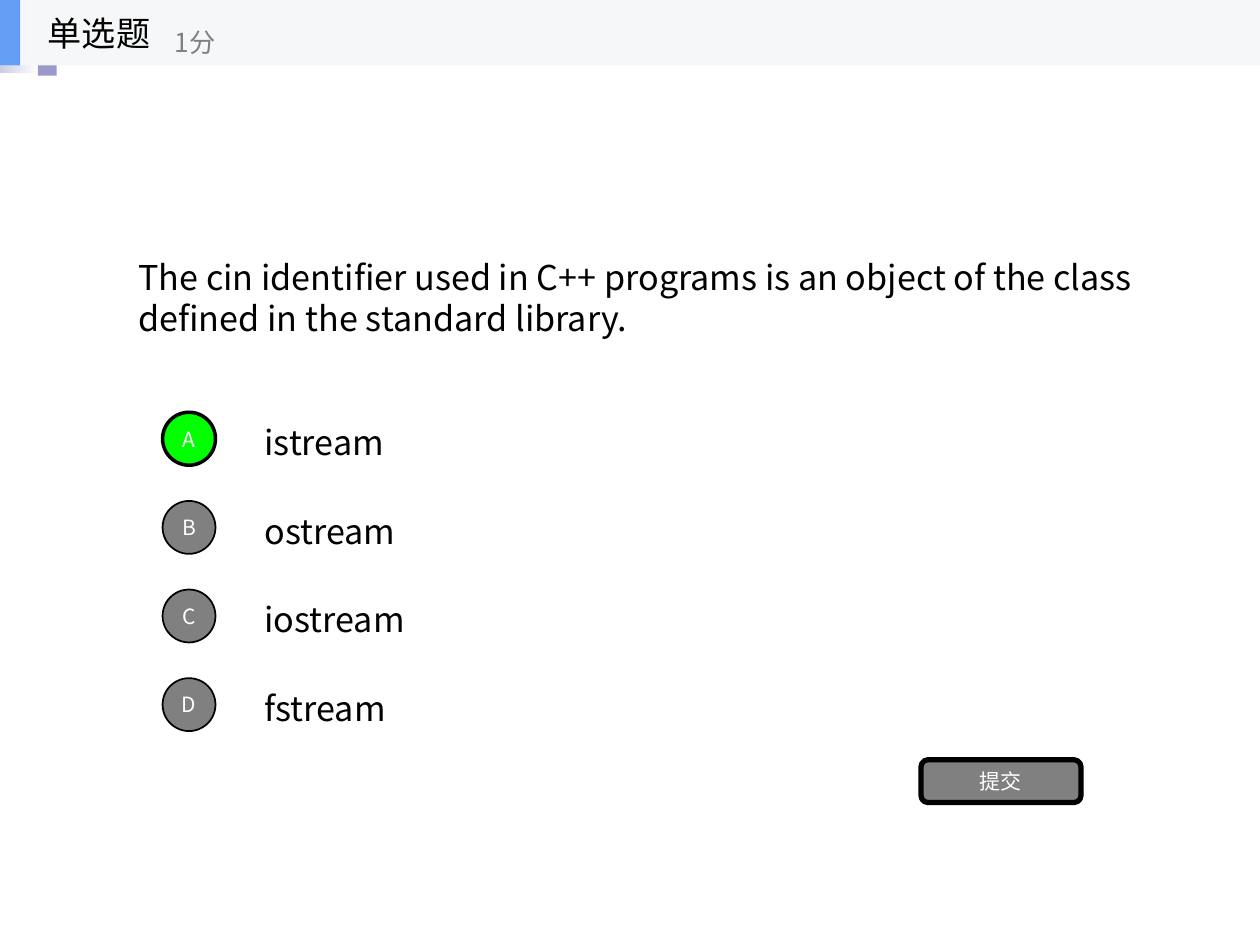
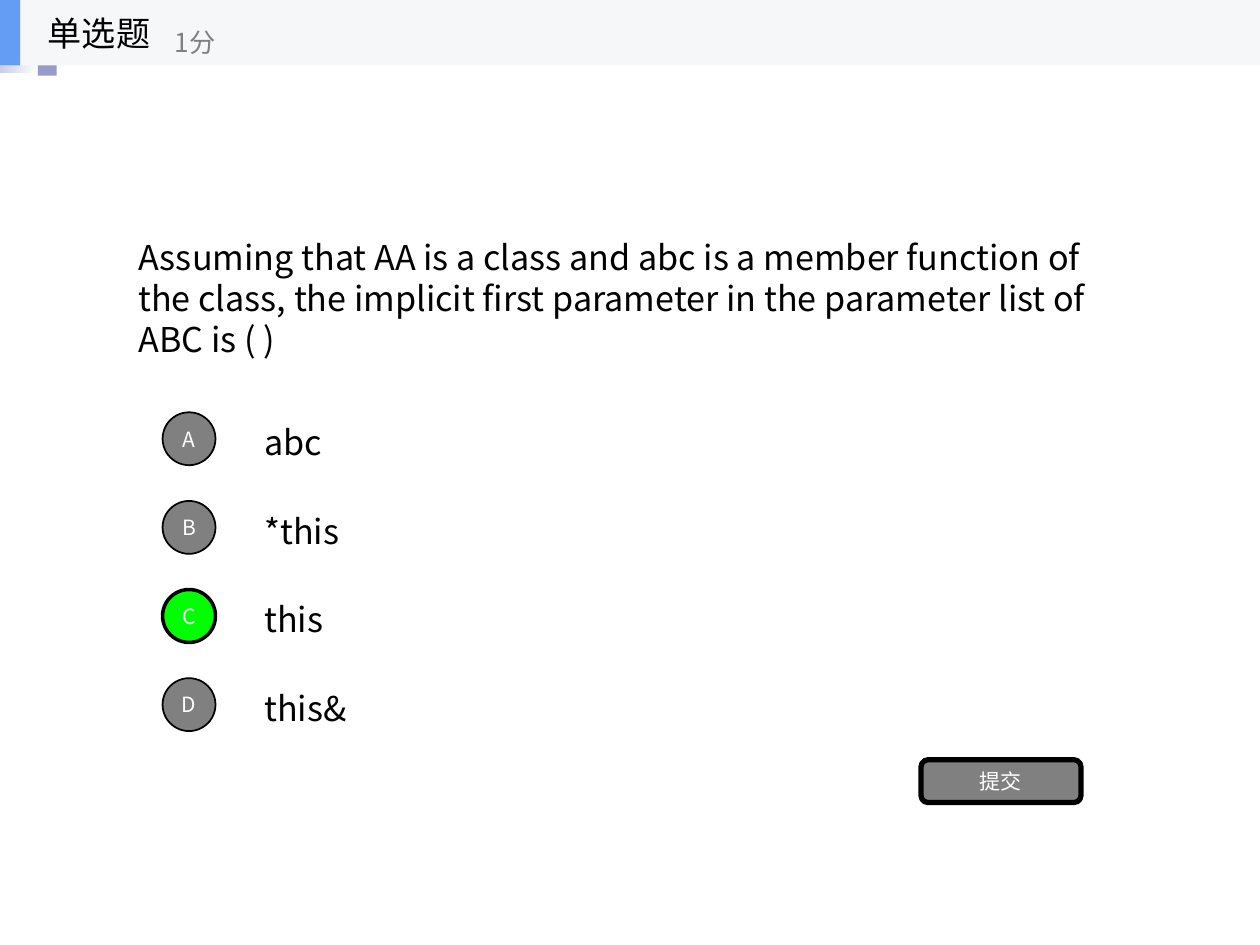
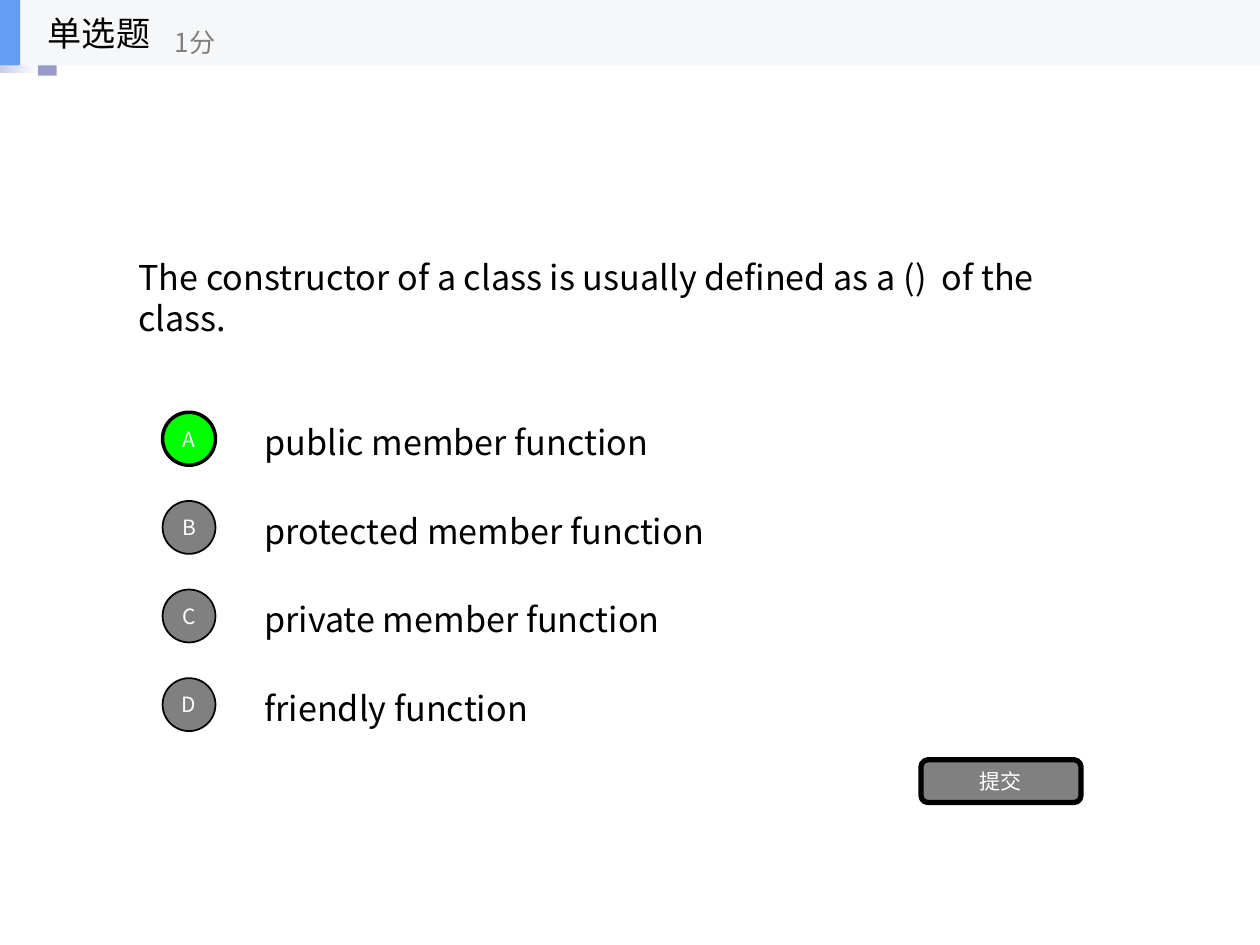
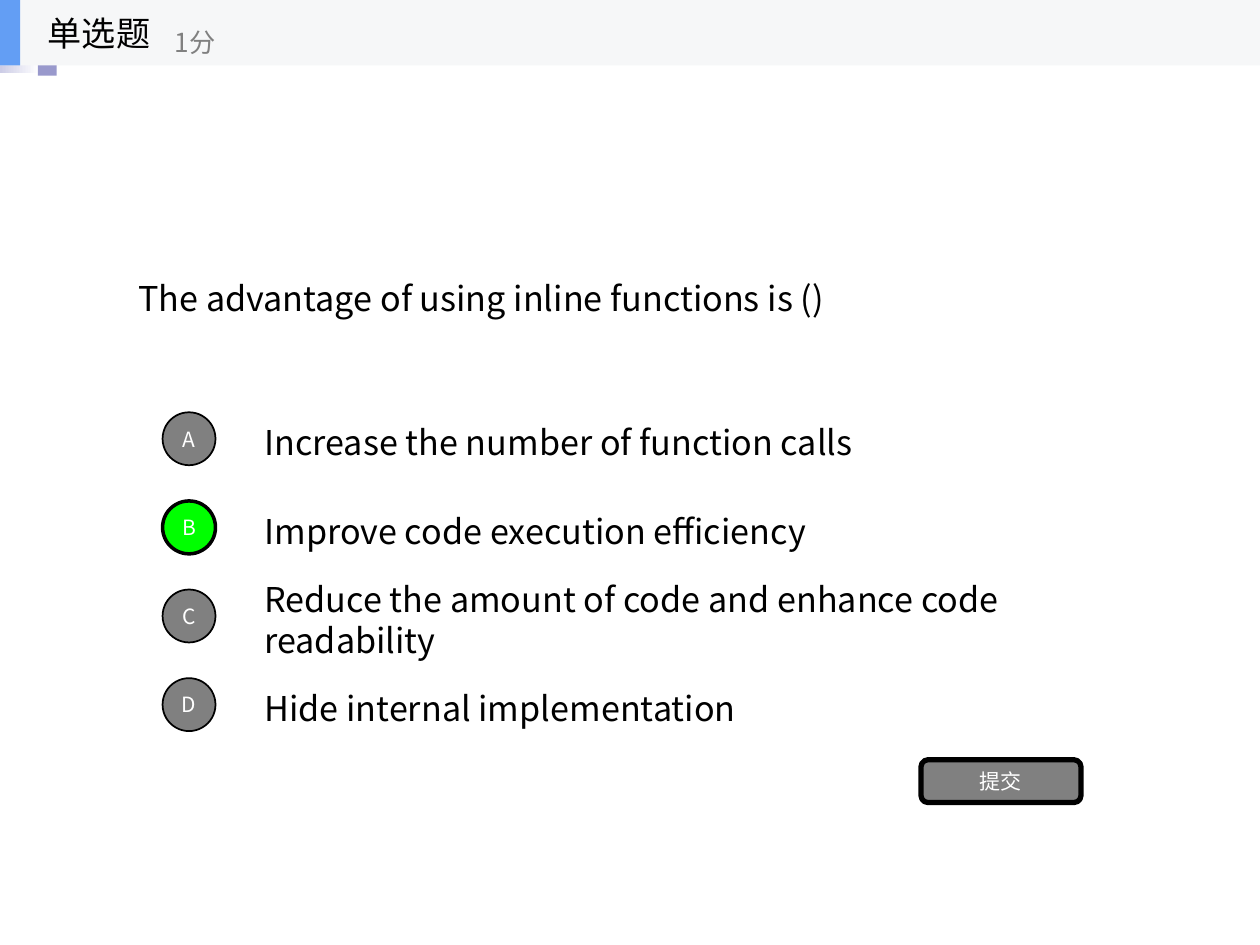
from dataclasses import dataclass
from typing import NamedTuple, Optional

from lxml.etree import SubElement
from pptx import Presentation
from pptx.dml.color import RGBColor as Rgb
from pptx.enum.shapes import MSO_SHAPE as Form
from pptx.enum.text import MSO_ANCHOR as Anchor, PP_ALIGN as Align
from pptx.oxml.ns import qn
from pptx.util import Pt


@dataclass(frozen=True)
class Theme:
    font: str = "Noto Sans CJK SC"
    black: str = "000000"
    white: str = "FFFFFF"
    gray: str = "808080"
    green: str = "00FF00"
    band: str = "F6F7F8"
    blue: str = "639EF4"
    mauve: str = "9999CC"
    pale: str = "CCCCE6"
    body: float = 19.5
    score: float = 15
    mark: float = 12
    pitch: float = 23.4


class Box(NamedTuple):
    left: float
    top: float
    width: float
    height: float

    def down(self, gap: float) -> "Box":
        return self._replace(top=self.top + gap)

    def points(self) -> list:
        return [Pt(round(side, 2)) for side in self]


class Label(NamedTuple):
    box: Box
    text: str
    size: float
    color: str
    wrap: bool = True


class Block(NamedTuple):
    form: Form
    box: Box
    fill: str
    edge: float = 0
    text: str = ""
    fade: Optional[str] = None


class Quiz(NamedTuple):
    ask: str
    picks: tuple
    answer: str
    width: float = 576


THEME = Theme()
BAND = 37.44
STEP = 50.64
ASK = Box(72, 105.12, 576, 126.72)
PICK = Box(144, 231.84, 504, 38.16)
DISC = Box(92.88, 235.6, 30.24, 30.24)

FRAME = (
    Block(Form.RECTANGLE, Box(0, 0, 22.32, 41.76), THEME.pale, fade=THEME.white),
    Block(Form.RECTANGLE, Box(21.6, 32.4, 10.8, 10.8), THEME.mauve),
    Block(Form.RECTANGLE, Box(0, 0, 720, BAND), THEME.band),
    Block(Form.RECTANGLE, Box(0, 0, 11.52, BAND), THEME.blue),
)
HEAD = (
    Label(Box(20.16, 0, 112.32, BAND), "单选题", THEME.body, THEME.black, False),
    Label(Box(92.88, 8.64, 135.36, 30.24), "1分", THEME.score, THEME.gray, False),
)
SUBMIT = Block(Form.ROUNDED_RECTANGLE, Box(526.32, 434.16, 91.44, 24.48),
               THEME.gray, 3, "提交")

QUIZZES = (
    Quiz("The cin identifier used in C++ programs is an object of the class "
         "defined in the standard library.",
         ("istream", "ostream", "iostream", "fstream"), "A", 601.92),
    Quiz("Assuming that AA is a class and abc is a member function of the class, "
         "the implicit first parameter in the parameter list of ABC is ( )",
         ("abc", "*this", "this", "this&"), "C"),
    Quiz("The constructor of a class is usually defined as a ()  of the class.",
         ("public member function", "protected member function",
          "private member function", "friendly function"), "A"),
    Quiz("The advantage of using inline functions is ()",
         ("Increase the number of function calls",
          "Improve code execution efficiency",
          "Reduce the amount of code and enhance code readability",
          "Hide internal implementation"), "B"),
)


def write(frame, text: str, size: float, color: str, align: Align) -> None:
    frame.vertical_anchor = Anchor.MIDDLE
    para = frame.paragraphs[0]
    para.text = text
    para.alignment = align
    font = para.font
    font.size = Pt(size)
    font.color.rgb = Rgb.from_string(color)
    font.name = THEME.font
    props = para._p.pPr.find(qn("a:defRPr"))
    SubElement(props, qn("a:ea")).set("typeface", THEME.font)


def draw_label(slide, label: Label) -> None:
    frame = slide.shapes.add_textbox(*label.box.points()).text_frame
    frame.word_wrap = label.wrap
    if label.wrap:
        frame.margin_top = Pt(7)
        frame.paragraphs[0].line_spacing = Pt(THEME.pitch)
    write(frame, label.text, label.size, label.color, Align.LEFT)


def draw_block(slide, block: Block) -> None:
    shape = slide.shapes.add_shape(block.form, *block.box.points())
    shape.shadow.inherit = False
    if block.fade:
        shape.fill.gradient()
        shape.fill.gradient_angle = 0
        stops = shape.fill.gradient_stops
        for stop, spot, color in zip(stops, (0, 1), (block.fill, block.fade)):
            stop.position = spot
            stop.color.rgb = Rgb.from_string(color)
    else:
        shape.fill.solid()
        shape.fill.fore_color.rgb = Rgb.from_string(block.fill)
    if block.edge:
        shape.line.color.rgb = Rgb.from_string(THEME.black)
        shape.line.width = Pt(block.edge)
    else:
        shape.line.fill.background()
    if block.text:
        frame = shape.text_frame
        frame.margin_left = frame.margin_right = Pt(0)
        frame.margin_top = frame.margin_bottom = Pt(0)
        write(frame, block.text, THEME.mark, THEME.white, Align.CENTER)


def draw_quiz(slide, quiz: Quiz) -> None:
    ask = ASK._replace(width=quiz.width)
    draw_label(slide, Label(ask, quiz.ask, THEME.body, THEME.black))
    for row, (mark, pick) in enumerate(zip("ABCD", quiz.picks)):
        gap = row * STEP
        draw_label(slide, Label(PICK.down(gap), pick, THEME.body, THEME.black))
        right = mark == quiz.answer
        fill, edge = (THEME.green, 2) if right else (THEME.gray, 1)
        draw_block(slide, Block(Form.OVAL, DISC.down(gap), fill, edge, mark))
    draw_block(slide, SUBMIT)


def main() -> None:
    deck = Presentation()
    deck.slide_width, deck.slide_height = Pt(720), Pt(540)
    for quiz in QUIZZES:
        slide = deck.slides.add_slide(deck.slide_layouts[6])
        for block in FRAME:
            draw_block(slide, block)
        for label in HEAD:
            draw_label(slide, label)
        draw_quiz(slide, quiz)
    deck.save("out.pptx")


if __name__ == "__main__":
    main()
